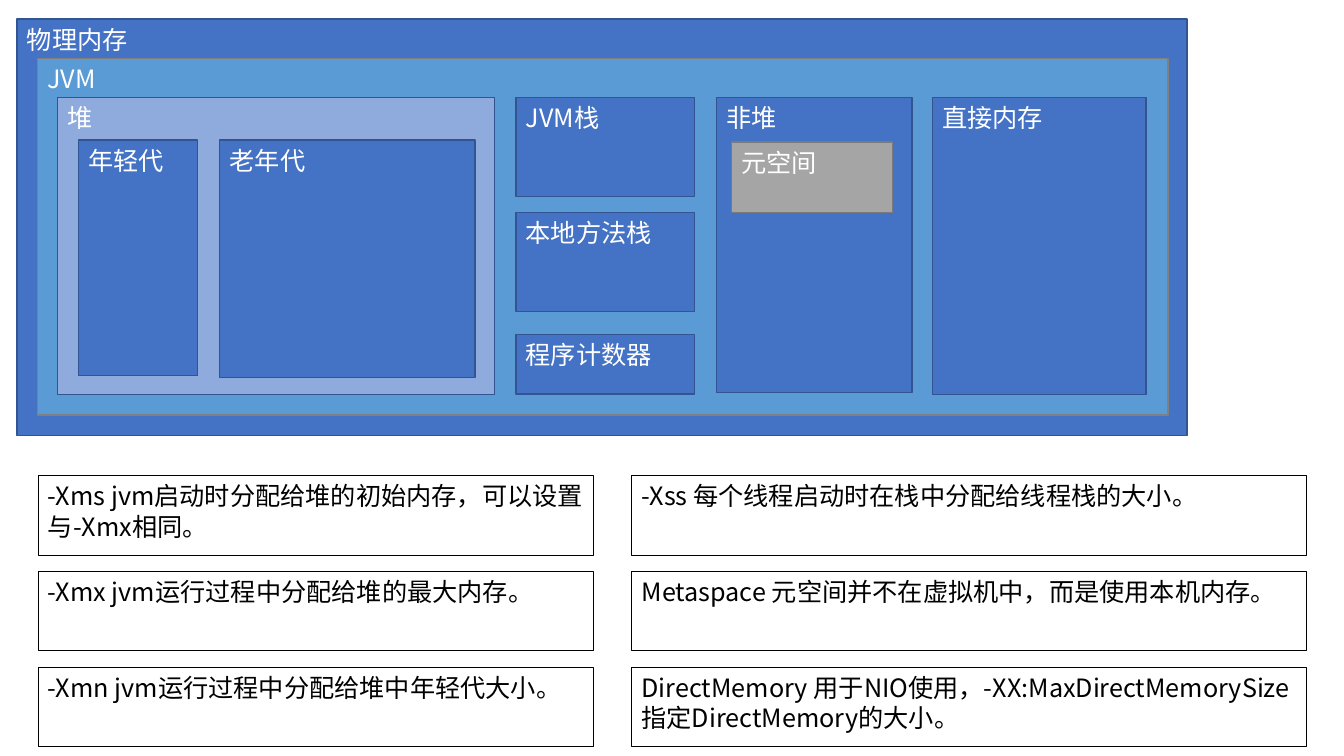
from dataclasses import dataclass
from lxml.etree import SubElement
from pptx import Presentation
from pptx.dml.color import RGBColor
from pptx.enum.shapes import MSO_SHAPE
from pptx.enum.text import MSO_ANCHOR, PP_ALIGN
from pptx.oxml.ns import qn
from pptx.util import Cm, Pt


@dataclass(frozen=True)
class Theme:
    font: str = "Noto Sans CJK SC"
    size: float = 18
    white: str = "FFFFFF"
    black: str = "000000"
    blue: str = "4472C4"
    navy: str = "325491"
    sky: str = "5B9BD5"
    pale: str = "8FAADC"
    grey: str = "A5A5A5"
    slate: str = "7A7A7A"
    ash: str = "808080"
    edge: float = 1
    thin: float = 0.75


class Board:
    def __init__(self, slide, theme):
        self.slide = slide
        self.theme = theme

    def apply(self, item, values):
        for name, value in values.items():
            setattr(item, name, value)

    def rect(self, text, spot, fill, line, width, ink):
        shape = self.slide.shapes.add_shape(MSO_SHAPE.RECTANGLE, *map(Cm, spot))
        shape.shadow.inherit = False
        if fill:
            shape.fill.solid()
            shape.fill.fore_color.rgb = RGBColor.from_string(fill)
        else:
            shape.fill.background()
        shape.line.color.rgb = RGBColor.from_string(line)
        shape.line.width = Pt(width)
        frame = shape.text_frame
        self.apply(frame, {"word_wrap": True, "vertical_anchor": MSO_ANCHOR.TOP})
        para = frame.paragraphs[0]
        para.alignment = PP_ALIGN.LEFT
        run = para.add_run()
        run.text = text
        self.apply(run.font, {"name": self.theme.font, "size": Pt(self.theme.size)})
        run.font.color.rgb = RGBColor.from_string(ink)
        SubElement(run.font._element, qn("a:ea"), typeface=self.theme.font)

    def area(self, text, spot, fill=None, line=None):
        look = self.theme
        self.rect(text, spot, fill or look.blue, line or look.navy, look.edge, look.white)

    def note(self, text, spot):
        look = self.theme
        self.rect(text, spot, None, look.black, look.thin, look.black)


def main():
    deck = Presentation()
    deck.slide_width, deck.slide_height = Cm(33.87), Cm(19.05)
    look = Theme()
    board = Board(deck.slides.add_slide(deck.slide_layouts[6]), look)

    top = 2.46
    board.area("物理内存", (0.43, 0.48, 29.49, 10.49))
    board.area("JVM", (0.94, 1.47, 28.5, 8.99), look.sky, look.ash)
    board.area("堆", (1.45, top, 11.02, 7.49), look.pale)
    board.area("年轻代", (1.98, 3.53, 3, 5.94))
    board.area("老年代", (5.54, 3.53, 6.43, 5.99))

    stacks = [("JVM栈", top, 2.49), ("本地方法栈", 5.36, 2.49), ("程序计数器", 8.43, 1.5)]
    for text, y, high in stacks:
        board.area(text, (13, y, 4.5, high))

    board.area("非堆", (18.06, top, 4.93, 7.44))
    board.area("直接内存", (23.5, top, 5.38, 7.49))
    board.area("元空间", (18.44, 3.58, 4.06, 1.78), look.grey, look.slate)

    notes = [
        (0.96, 14, [
            "-Xms jvm启动时分配给堆的初始内存，可以设置与-Xmx相同。",
            "-Xmx jvm运行过程中分配给堆的最大内存。",
            "-Xmn jvm运行过程中分配给堆中年轻代大小。",
        ]),
        (15.92, 17, [
            "-Xss 每个线程启动时在栈中分配给线程栈的大小。",
            "Metaspace 元空间并不在虚拟机中，而是使用本机内存。",
            "DirectMemory 用于NIO使用，-XX:MaxDirectMemorySize 指定DirectMemory的大小。",
        ]),
    ]
    for x, wide, texts in notes:
        for row, text in enumerate(texts):
            board.note(text, (x, 11.99 + 2.41 * row, wide, 2))

    deck.save("out.pptx")


if __name__ == "__main__":
    main()
